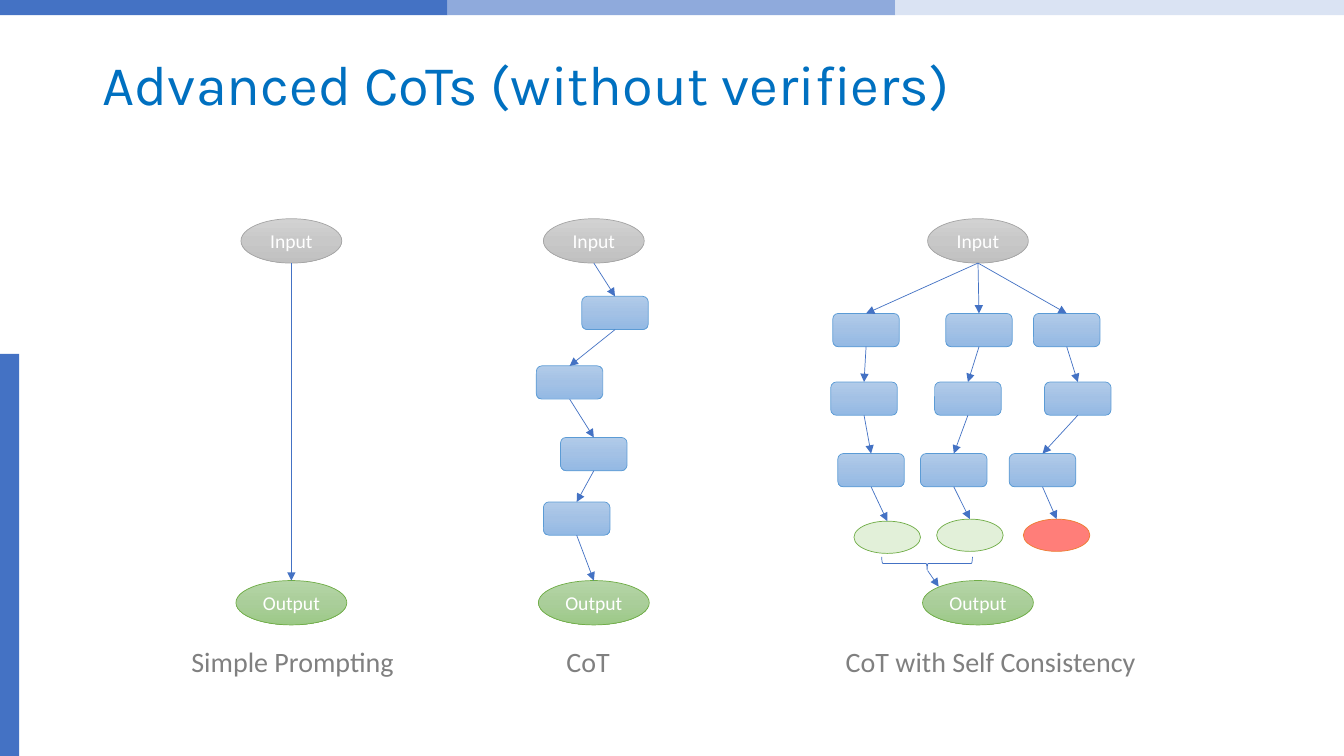
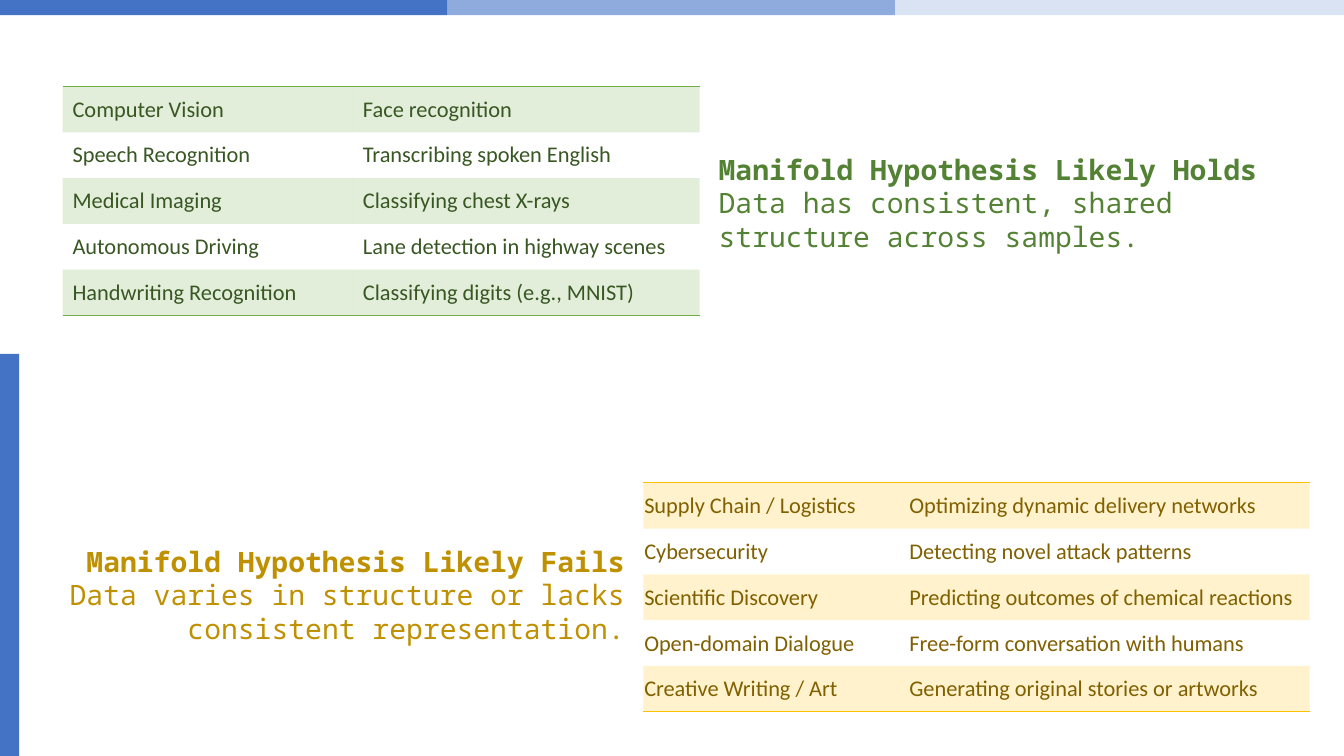
from copy import deepcopy
from dataclasses import dataclass

from lxml import etree
from pptx import Presentation
from pptx.dml.color import RGBColor
from pptx.enum.shapes import MSO_CONNECTOR, MSO_SHAPE
from pptx.enum.text import MSO_ANCHOR, MSO_AUTO_SIZE, PP_ALIGN
from pptx.oxml.ns import qn
from pptx.shapes.autoshape import Shape
from pptx.shapes.connector import Connector
from pptx.slide import Slide
from pptx.table import _Cell
from pptx.text.text import TextFrame
from pptx.util import Emu, Pt

RECT, ROUND_RECT = MSO_SHAPE.RECTANGLE, MSO_SHAPE.ROUNDED_RECTANGLE
OVAL, BRACE = MSO_SHAPE.OVAL, MSO_SHAPE.RIGHT_BRACE
STRAIGHT = MSO_CONNECTOR.STRAIGHT
LEFT, CENTER, RIGHT = PP_ALIGN.LEFT, PP_ALIGN.CENTER, PP_ALIGN.RIGHT
TOP, MIDDLE = MSO_ANCHOR.TOP, MSO_ANCHOR.MIDDLE
GROW = MSO_AUTO_SIZE.SHAPE_TO_FIT_TEXT
TOP_SITE, BOTTOM_SITE = 0, 2
EMU_PER_PX = 9144
NO_TABLE_STYLE = "{2D5ABB26-0587-4C30-8999-92F81FD0307C}"
SLIDE_W, SLIDE_H = 1333, 750


@dataclass(frozen=True)
class Theme:
    body_font: str = "Calibri"
    title_font: str = "Karla"
    mono_font: str = "Noto Sans Mono"
    title_size: int = 40
    heading_size: int = 20
    table_size: int = 16
    node_size: int = 14
    line_width: float = 0.5
    border_width: int = 1
    accent: str = "4472C4"
    bands: tuple[str, ...] = ("4472C4", "8FAADC", "DAE3F3")
    title: str = "0070C0"
    caption: str = "808080"
    white: str = "FFFFFF"
    gray: str = "A5A5A5"
    gray_fill: tuple[str, ...] = ("D2D2D2", "C8C8C8", "C0C0C0")
    blue: str = "5B9BD5"
    blue_fill: tuple[str, ...] = ("B1CBE9", "A3C1E5", "93B9E4")
    green: str = "70AD47"
    green_fill: tuple[str, ...] = ("B5D5A7", "AACE9A", "9CC987")
    green_pale: tuple[str, ...] = ("E2F0D9",)
    green_text: str = "385723"
    green_heading: str = "548235"
    red_fill: tuple[str, ...] = ("FF7E79",)
    orange: str = "ED7D31"
    gold: str = "FFC000"
    gold_text: str = "806000"
    gold_heading: str = "BF9000"
    tint_alpha: int = 20


THEME = Theme()


@dataclass(frozen=True)
class NodeStyle:
    shape: MSO_SHAPE
    w: int
    h: int
    fill: tuple[str, ...]
    line: str
    text: str = ""


INPUT = NodeStyle(OVAL, 100, 44, THEME.gray_fill, THEME.gray, "Input")
OUTPUT = NodeStyle(OVAL, 110, 44, THEME.green_fill, THEME.green, "Output")
STEP = NodeStyle(ROUND_RECT, 66, 33, THEME.blue_fill, THEME.blue)
AGREED = NodeStyle(OVAL, 66, 32, THEME.green_pale, THEME.green)
REJECTED = NodeStyle(OVAL, 66, 32, THEME.red_fill, THEME.orange)


@dataclass(frozen=True)
class Branch:
    step_centers: tuple[int, ...]
    answer: NodeStyle
    answer_center: int
    answer_top: int


@dataclass(frozen=True)
class Panel:
    """A two-column table and the heading that explains it."""
    table_at: tuple[int, int]
    cols: tuple[int, int]
    rows: tuple[tuple[str, str], ...]
    accent: str
    text_color: str
    margins: tuple[int, int, int, int]
    note_box: tuple[int, int, int, int]
    note_color: str
    align: PP_ALIGN
    heading: str
    note: str


INPUT_TOP, OUTPUT_TOP, CAPTION_TOP = 217, 576, 634
SIMPLE_X, COT_X, VOTE_X = 289, 589, 970
COT_STEPS = ((610, 294), (565, 363), (589, 434), (572, 498))
STEP_TOPS = (311, 379, 450)
BRANCHES = (
    Branch((859, 857, 864), AGREED, 880, 517),
    Branch((971, 960, 946), AGREED, 962, 515),
    Branch((1058, 1069, 1034), REJECTED, 1048, 515),
)
CAPTIONS = ((180, 223, "Simple Prompting"), (552, 63, "CoT"),
            (829, 310, "CoT with Self Consistency"))
TABLE_H = 227
PANELS = (
    Panel((62, 86), (288, 344), (
        ("Computer Vision", "Face recognition"),
        ("Speech Recognition", "Transcribing spoken English"),
        ("Medical Imaging", "Classifying chest X-rays"),
        ("Autonomous Driving", "Lane detection in highway scenes"),
        ("Handwriting Recognition", "Classifying digits (e.g., MNIST)"),
    ), THEME.green, THEME.green_text, (10, 5, 10, 5),
        (703, 146, 583, 111), THEME.green_heading, LEFT,
        "Manifold Hypothesis Likely Holds",
        "Data has consistent, shared structure across samples."),
    Panel((638, 479), (263, 398), (
        ("Supply Chain / Logistics", "Optimizing dynamic delivery networks"),
        ("Cybersecurity", "Detecting novel attack patterns"),
        ("Scientific Discovery", "Predicting outcomes of chemical reactions"),
        ("Open-domain Dialogue", "Free-form conversation with humans"),
        ("Creative Writing / Art", "Generating original stories or artworks"),
    ), THEME.gold, THEME.gold_text, (1, 1, 1, 0),
        (36, 535, 594, 111), THEME.gold_heading, RIGHT,
        "Manifold Hypothesis Likely Fails",
        "Data varies in structure or lacks consistent representation."),
)


def px(n: int) -> Emu:
    return Emu(n * EMU_PER_PX)


def rgb(color: str) -> RGBColor:
    return RGBColor.from_string(color)


def write(tf: TextFrame, text: str, *, size: int, color: str,
          font: str = THEME.body_font, bold: bool = False,
          align: PP_ALIGN = LEFT, spacing: float = 1.0) -> None:
    """Put one paragraph in the frame, after any that it already holds."""
    p = tf.paragraphs[0]
    if p.runs:
        p = tf.add_paragraph()
    p.alignment, p.line_spacing = align, spacing
    r = p.add_run()
    r.text = text
    r.font.name, r.font.size, r.font.bold = font, Pt(size), bold
    r.font.color.rgb = rgb(color)


def add_text_box(s: Slide, x: int, y: int, w: int, h: int, *,
                 wrap: bool = True, anchor: MSO_ANCHOR = TOP,
                 grow: bool = True) -> TextFrame:
    tf = s.shapes.add_textbox(px(x), px(y), px(w), px(h)).text_frame
    tf.word_wrap, tf.vertical_anchor = wrap, anchor
    if grow:
        tf.auto_size = GROW
    return tf


def add_shape(s: Slide, kind: MSO_SHAPE, x: int, y: int, w: int, h: int,
              fill: tuple[str, ...] = (), line: str = "") -> Shape:
    """Draw a shape: no colours leave it open, one is solid, more shade it."""
    sp = s.shapes.add_shape(kind, px(x), px(y), px(w), px(h))
    sp.shadow.inherit = False
    if len(fill) > 1:
        shade(sp, fill)
    elif fill:
        sp.fill.solid()
        sp.fill.fore_color.rgb = rgb(fill[0])
    else:
        sp.fill.background()
    if line:
        sp.line.color.rgb = rgb(line)
        sp.line.width = Pt(THEME.line_width)
    else:
        sp.line.fill.background()
    return sp


def shade(sp: Shape, colors: tuple[str, ...]) -> None:
    """Fill from top to bottom with evenly spaced colour stops."""
    sp.fill.gradient()
    sp.fill.gradient_angle = 270
    stops = next(sp._element.iter(qn("a:gsLst")))
    while len(stops) < len(colors):
        stops.insert(1, deepcopy(stops[0]))
    for i, (stop, color) in enumerate(zip(sp.fill.gradient_stops, colors)):
        stop.color.rgb = rgb(color)
        stop.position = i / (len(colors) - 1)


def add_node(s: Slide, style: NodeStyle, center: int, top: int) -> Shape:
    sp = add_shape(s, style.shape, center - style.w // 2, top,
                   style.w, style.h, style.fill, style.line)
    if style.text:
        sp.text_frame.vertical_anchor = MIDDLE
        write(sp.text_frame, style.text, size=THEME.node_size,
              color=THEME.white, align=CENTER)
    return sp


def add_arrow(s: Slide, x1: int, y1: int, x2: int, y2: int) -> Connector:
    """Draw an arrow between two points given in EMU."""
    c = s.shapes.add_connector(STRAIGHT, x1, y1, x2, y2)
    c.line.color.rgb = rgb(THEME.accent)
    c.line.width = Pt(THEME.line_width)
    etree.SubElement(c.line._get_or_add_ln(), qn("a:tailEnd"), type="triangle")
    etree.SubElement(c._element.spPr, qn("a:effectLst"))
    return c


def link(s: Slide, *nodes: Shape) -> None:
    """Join each node's bottom to the top of the next."""
    for a, b in zip(nodes, nodes[1:]):
        c = add_arrow(s, a.left + a.width // 2, a.top + a.height,
                      b.left + b.width // 2, b.top)
        if a.auto_shape_type == ROUND_RECT:  # an oval numbers its sites differently
            c.begin_connect(a, BOTTOM_SITE)
        c.end_connect(b, TOP_SITE)


def add_base_slide(prs: Presentation) -> Slide:
    s = prs.slides.add_slide(prs.slide_layouts[6])
    n = len(THEME.bands)
    edges = [SLIDE_W * i // n for i in range(n + 1)]
    for left, right, color in zip(edges, edges[1:], THEME.bands):
        add_shape(s, RECT, left, 0, right - left, 15, (color,))
    add_shape(s, RECT, 0, 351, 19, SLIDE_H - 351, (THEME.accent,))
    return s


def build_cot_slide(prs: Presentation) -> None:
    s = add_base_slide(prs)
    tf = add_text_box(s, 92, 40, 1150, 94, anchor=MIDDLE, grow=False)
    write(tf, "Advanced CoTs (without verifiers)", size=THEME.title_size,
          color=THEME.title, font=THEME.title_font, spacing=0.9)

    for center, steps in ((SIMPLE_X, ()), (COT_X, COT_STEPS)):
        link(s, add_node(s, INPUT, center, INPUT_TOP),
             *(add_node(s, STEP, x, y) for x, y in steps),
             add_node(s, OUTPUT, center, OUTPUT_TOP))

    start = add_node(s, INPUT, VOTE_X, INPUT_TOP)
    add_node(s, OUTPUT, VOTE_X, OUTPUT_TOP)
    for b in BRANCHES:
        steps = [add_node(s, STEP, x, y)
                 for x, y in zip(b.step_centers, STEP_TOPS)]
        link(s, start, *steps,
             add_node(s, b.answer, b.answer_center, b.answer_top))
    brace = add_shape(s, BRACE, 913, 514, 13, 90, line=THEME.accent)
    brace.rotation = 90
    add_arrow(s, px(920), px(566), px(931), px(582))

    for x, w, text in CAPTIONS:
        tf = add_text_box(s, x, CAPTION_TOP, w, 44, wrap=False)
        write(tf, text, size=THEME.heading_size, color=THEME.caption)


def tint_cell(cell: _Cell, color: str) -> None:
    cell.fill.solid()
    cell.fill.fore_color.rgb = rgb(color)
    clr = next(cell._tc.tcPr.iter(qn("a:srgbClr")))
    etree.SubElement(clr, qn("a:alpha"), val=str(THEME.tint_alpha * 1000))


def add_border(cell: _Cell, side: str, color: str) -> None:
    ln = etree.Element(qn(f"a:{side}"), w=str(Pt(THEME.border_width)))
    fill = etree.SubElement(ln, qn("a:solidFill"))
    etree.SubElement(fill, qn("a:srgbClr"), val=color)
    cell._tc.get_or_add_tcPr().insert(0, ln)


def add_panel(s: Slide, panel: Panel) -> None:
    x, y = panel.table_at
    last = len(panel.rows) - 1
    frame = s.shapes.add_table(len(panel.rows), len(panel.cols), px(x), px(y),
                               px(sum(panel.cols)), px(TABLE_H))
    next(frame._element.iter(qn("a:tableStyleId"))).text = NO_TABLE_STYLE
    table = frame.table
    table.first_row = table.horz_banding = False
    for col, w in zip(table.columns, panel.cols):
        col.width = px(w)
    for i, row in enumerate(panel.rows):
        for j, text in enumerate(row):
            cell = table.cell(i, j)
            cell.vertical_anchor = MIDDLE
            (cell.margin_left, cell.margin_top, cell.margin_right,
             cell.margin_bottom) = map(px, panel.margins)
            write(cell.text_frame, text, size=THEME.table_size,
                  color=panel.text_color)
            if i % 2 == 0:
                tint_cell(cell, panel.accent)
            else:
                cell.fill.background()
            if i in (0, last):
                add_border(cell, "lnT" if i == 0 else "lnB", panel.accent)

    tf = add_text_box(s, *panel.note_box)
    for text, bold in ((panel.heading, True), (panel.note, False)):
        write(tf, text, size=THEME.heading_size, color=panel.note_color,
              font=THEME.mono_font, bold=bold, align=panel.align)


def build_manifold_slide(prs: Presentation) -> None:
    s = add_base_slide(prs)
    for panel in PANELS:
        add_panel(s, panel)


def main() -> None:
    prs = Presentation()
    prs.slide_width, prs.slide_height = px(SLIDE_W), px(SLIDE_H)
    build_cot_slide(prs)
    build_manifold_slide(prs)
    prs.save("out.pptx")


if __name__ == "__main__":
    main()
